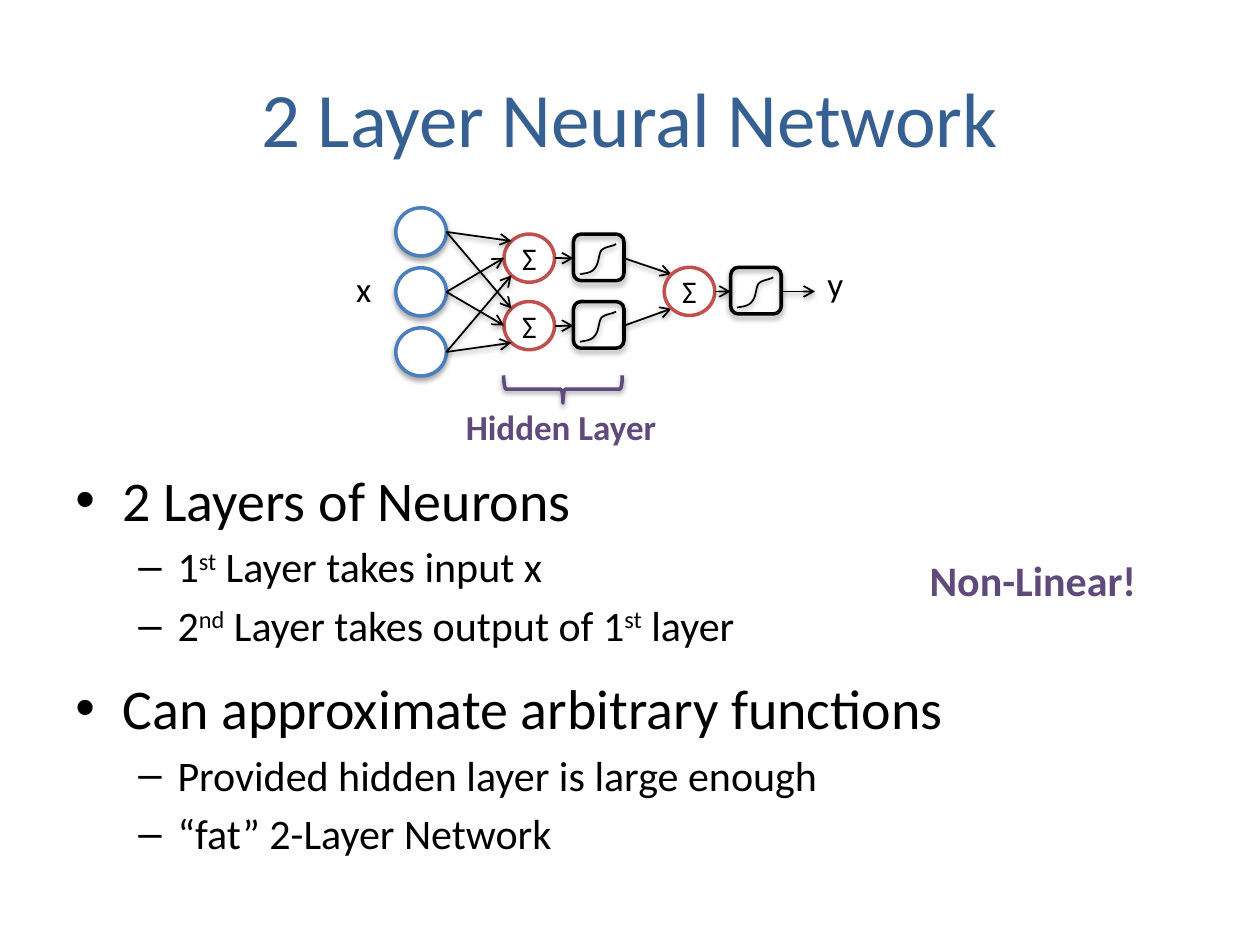
"""Build a slide that explains a two-layer neural network."""
from lxml import etree
from pptx import Presentation
from pptx.dml.color import RGBColor
from pptx.enum.shapes import MSO_CONNECTOR, MSO_SHAPE
from pptx.enum.text import MSO_ANCHOR, PP_ALIGN
from pptx.oxml import parse_xml
from pptx.oxml.ns import nsdecls, qn
from pptx.util import Cm, Pt

OVAL, BOX, BRACE = MSO_SHAPE.OVAL, MSO_SHAPE.ROUNDED_RECTANGLE, MSO_SHAPE.LEFT_BRACE
STRAIGHT = MSO_CONNECTOR.STRAIGHT
MIDDLE, CENTER, LEFT = MSO_ANCHOR.MIDDLE, PP_ALIGN.CENTER, PP_ALIGN.LEFT

BLACK = RGBColor(0x00, 0x00, 0x00)
WHITE = RGBColor(0xFF, 0xFF, 0xFF)
TITLE_BLUE = RGBColor(0x37, 0x60, 0x92)
INPUT_BLUE = RGBColor(0x4B, 0x7E, 0xBC)
NEURON_RED = RGBColor(0xC0, 0x50, 0x4D)
PURPLE = RGBColor(0x60, 0x4A, 0x7B)

NODE_W, NODE_H, BOX_H = 1.02, 0.97, 0.94
INPUT_X, HIDDEN_X, OUTPUT_X = 7.98, 10.16, 13.39
INPUT_TOPS = [4.19 + 1.21 * i for i in range(3)]
HIDDEN_TOPS = [4.72, 6.08]
OUTPUT_TOP = 5.39
HIDDEN_BOX_X, OUTPUT_BOX_X = 11.56, 14.73
ENTRY_SITES = [(0.15, 0.14), (0, 0.48), (0.15, 0.83)]
SIGMOID = [
    [(0.13, 0.81), (0.23, 0.79), (0.36, 0.79), (0.43, 0.69)],
    [(0.43, 0.69), (0.51, 0.61), (0.51, 0.41), (0.56, 0.33)],
    [(0.56, 0.33), (0.64, 0.25), (0.79, 0.25), (0.86, 0.2)],
]

BODY = [
    (0, "2 Layers of Neurons", 0),
    (1, "1^st^ Layer takes input x", 4.8),
    (1, "2^nd^ Layer takes output of 1^st^ layer", 4.8),
    (0, "Can approximate arbitrary functions", 13.5),
    (1, "Provided hidden layer is large enough", 4.8),
    (1, "“fat” 2-Layer Network", 4.8),
]
LEVELS = [("•", 0.95, 0.95, 32), ("–", 2.06, 0.79, 24)]


def set_font(p, size, color, bold=False):
    """Set the font of a whole paragraph."""
    p.font.name, p.font.size, p.font.bold = "Calibri", Pt(size), bold
    p.font.color.rgb = color


def add_shadow(s, dist=1.6, alpha=38):
    """Give a shape or connector a soft shadow below it."""
    sp_pr = s._element.spPr
    for old in sp_pr.findall(qn("a:effectLst")):
        sp_pr.remove(old)
    sp_pr.append(parse_xml(
        f'<a:effectLst {nsdecls("a")}><a:outerShdw blurRad="{Pt(3.1)}" '
        f'dist="{Pt(dist)}" dir="5400000" rotWithShape="0"><a:srgbClr val="000000">'
        f'<a:alpha val="{alpha * 1000}"/></a:srgbClr></a:outerShdw></a:effectLst>'))


def add_outline(slide, kind, x, y, w, h, color, fill=None):
    """Add a preset shape with a two-point outline."""
    s = slide.shapes.add_shape(kind, Cm(x), Cm(y), Cm(w), Cm(h))
    s.shadow.inherit = False
    if fill is None:
        s.fill.background()
    else:
        s.fill.solid()
        s.fill.fore_color.rgb = fill
    s.line.color.rgb, s.line.width = color, Pt(2)
    return s


def add_input(slide, y):
    """Add an input node."""
    s = add_outline(slide, OVAL, INPUT_X, y, NODE_W, NODE_H, INPUT_BLUE, WHITE)
    add_shadow(s, 1.8, 35)


def add_neuron(slide, x, y):
    """Add a summing neuron."""
    s = add_outline(slide, OVAL, x, y, NODE_W, NODE_H, NEURON_RED, WHITE)
    tf = s.text_frame
    tf.word_wrap, tf.vertical_anchor = False, MIDDLE
    p = tf.paragraphs[0]
    p.text, p.alignment = "Σ", CENTER
    set_font(p, 18, BLACK)


def curve_points(x, y, steps=8):
    """Return points along the sigmoid in a box at x, y."""
    points = []
    for curve in SIGMOID:
        for i in range(steps + 1):
            t = i / steps
            weights = ((1 - t) ** 3, 3 * t * (1 - t) ** 2, 3 * t * t * (1 - t), t ** 3)
            dx, dy = (sum(k * pt[axis] for k, pt in zip(weights, curve)) for axis in (0, 1))
            points.append((Cm(x + dx), Cm(y + dy)))
    return points


def add_activation(slide, x, y):
    """Add a box with a sigmoid curve."""
    start, *rest = curve_points(x, y)
    builder = slide.shapes.build_freeform(*start)
    builder.add_line_segments(rest, close=False)
    s = builder.convert_to_shape()
    s.fill.background()
    s.line.color.rgb, s.line.width = BLACK, Pt(1)
    add_shadow(s)
    add_shadow(add_outline(slide, BOX, x, y, NODE_W, BOX_H, BLACK), 1.8, 35)


def add_arrow(slide, x1, y1, x2, y2):
    """Add a thin arrow."""
    s = slide.shapes.add_connector(STRAIGHT, Cm(x1), Cm(y1), Cm(x2), Cm(y2))
    s.line.color.rgb, s.line.width = BLACK, Pt(1)
    etree.SubElement(s.line._get_or_add_ln(), qn("a:tailEnd"), type="arrow")
    add_shadow(s)


def add_text(slide, text, x, y, w, h, size, color, bold=False, align=LEFT):
    """Add one line of text."""
    tf = slide.shapes.add_textbox(Cm(x), Cm(y), Cm(w), Cm(h)).text_frame
    tf.word_wrap, tf.vertical_anchor = False, MIDDLE
    p = tf.paragraphs[0]
    p.text, p.alignment = text, align
    set_font(p, size, color, bold)


def add_body(slide):
    """Add the bulleted list."""
    tf = slide.shapes.add_textbox(Cm(1.27), Cm(9.25), Cm(22.86), Cm(8.64)).text_frame
    tf.word_wrap = True
    for i, (level, text, before) in enumerate(BODY):
        bullet, margin, hang, size = LEVELS[level]
        p = tf.paragraphs[0] if i == 0 else tf.add_paragraph()
        p.level, p.space_before = level, Pt(before)
        p_pr = p._p.get_or_add_pPr()
        p_pr.set("marL", str(Cm(margin)))
        p_pr.set("indent", str(-Cm(hang)))
        etree.SubElement(p_pr, qn("a:buFont"), typeface="Arial")
        etree.SubElement(p_pr, qn("a:buChar"), char=bullet)
        set_font(p, size, BLACK)
        for j, part in enumerate(text.split("^")):
            r = p.add_run()
            r.text = part
            if j % 2:
                r._r.get_or_add_rPr().set("baseline", "30000")


def add_network(slide):
    """Draw the network from input to output."""
    for y in INPUT_TOPS:
        add_input(slide, y)
    out_y = OUTPUT_TOP + NODE_H / 2
    for y, exit_site in zip(HIDDEN_TOPS, ENTRY_SITES[::2]):
        add_neuron(slide, HIDDEN_X, y)
        add_activation(slide, HIDDEN_BOX_X, y)
        for top, (dx, dy) in zip(INPUT_TOPS, ENTRY_SITES):
            add_arrow(slide, INPUT_X + NODE_W, top + NODE_H / 2, HIDDEN_X + dx, y + dy)
        mid = y + NODE_H / 2
        add_arrow(slide, HIDDEN_X + NODE_W, mid, HIDDEN_BOX_X, mid)
        dx, dy = exit_site
        add_arrow(slide, HIDDEN_BOX_X + NODE_W, mid, OUTPUT_X + dx, OUTPUT_TOP + dy)
    add_neuron(slide, OUTPUT_X, OUTPUT_TOP)
    add_activation(slide, OUTPUT_BOX_X, OUTPUT_TOP)
    add_arrow(slide, OUTPUT_X + NODE_W, out_y, OUTPUT_BOX_X, out_y)
    add_arrow(slide, OUTPUT_BOX_X + NODE_W, out_y, 16.43, out_y)
    add_text(slide, "x", 6.93, 5.26, 0.81, 1.12, 20, BLACK)
    add_text(slide, "y", 16.43, 5.16, 0.84, 1.12, 20, BLACK)
    brace = add_outline(slide, BRACE, 11.07, 6.65, 0.56, 2.39, PURPLE)
    brace.rotation = 270
    add_shadow(brace)
    add_text(slide, "Hidden Layer", 9.14, 8.03, 4.39, 1.12, 20, PURPLE, True)


def main():
    """Build and save the slide."""
    prs = Presentation()
    prs.slide_width, prs.slide_height = Cm(25.4), Cm(19.05)
    slide = prs.slides.add_slide(prs.slide_layouts[6])
    add_text(slide, "2 Layer Neural Network", 1.27, 0.76, 22.86, 3.18, 44, TITLE_BLUE, align=CENTER)
    add_body(slide)
    add_network(slide)
    add_text(slide, "Non-Linear!", 18.49, 11.05, 4.72, 1.27, 24, PURPLE, True)
    prs.save("out.pptx")


if __name__ == "__main__":
    main()
